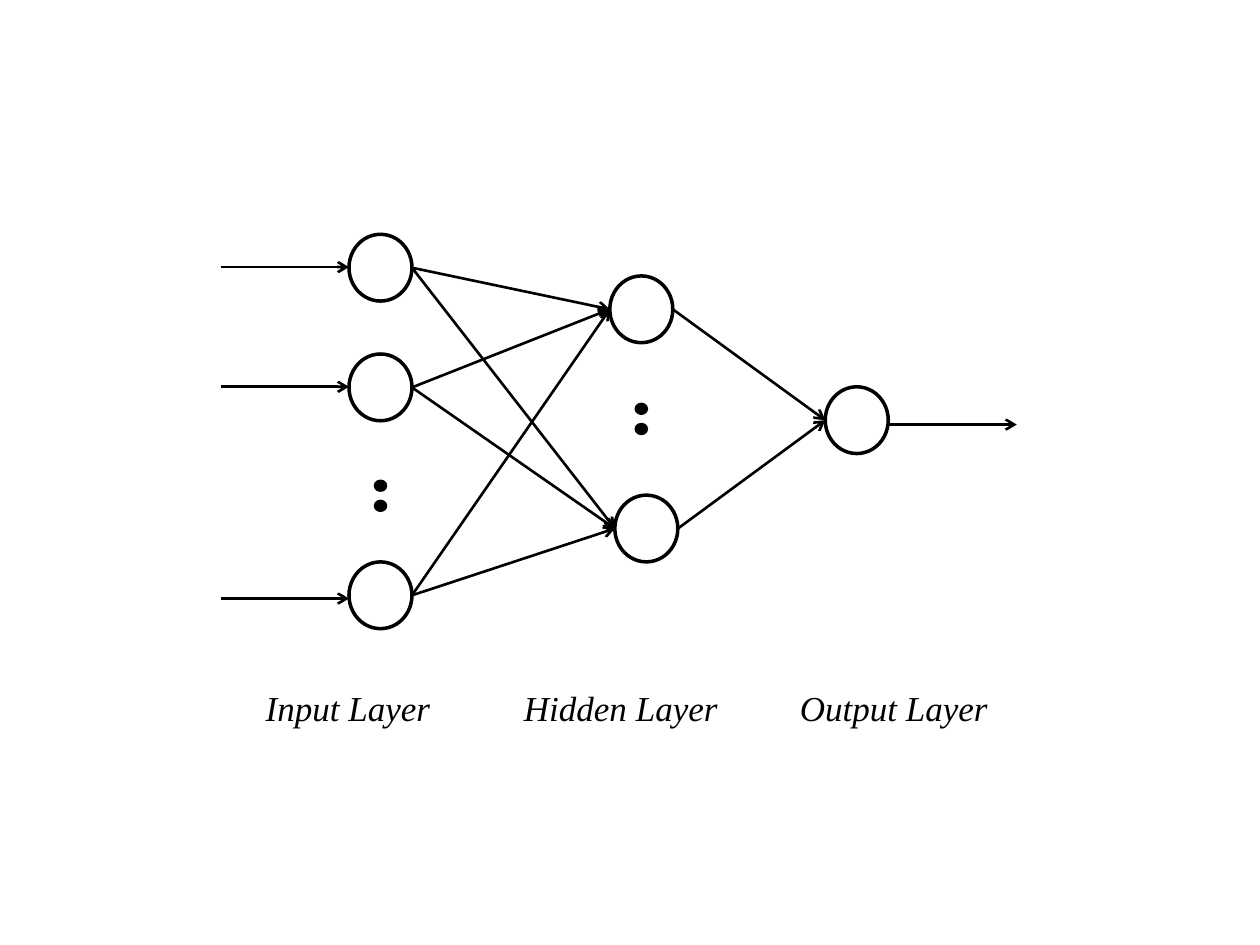
from dataclasses import dataclass
from itertools import product

from lxml import etree
from pptx import Presentation
from pptx import util as u
from pptx.dml.color import RGBColor
from pptx.enum import shapes, text
from pptx.oxml.ns import qn

BLACK, WHITE = "000000", "FFFFFF"
NEURON_WIDTH, NEURON_HEIGHT = 0.5, 0.53
DOT_WIDTH, DOT_HEIGHT = 0.08, 0.07


@dataclass(frozen=True)
class Neuron:
    left: float
    top: float

    @property
    def right(self) -> float:
        return self.left + NEURON_WIDTH

    @property
    def middle(self) -> float:
        return self.top + NEURON_HEIGHT / 2


@dataclass(frozen=True)
class Label:
    words: str
    left: float
    width: float


def color(value: str) -> RGBColor:
    return RGBColor.from_string(value)


def add_ellipse(slide, left: float, top: float, width: float, height: float, fill: str) -> None:
    shape = slide.shapes.add_shape(
        shapes.MSO_SHAPE.OVAL,
        u.Inches(left), u.Inches(top), u.Inches(width), u.Inches(height))
    shape.shadow.inherit = False
    shape.fill.solid()
    shape.fill.fore_color.rgb = color(fill)
    shape.line.color.rgb = color(BLACK)
    shape.line.width = u.Pt(2)


def add_arrow(slide, x1: float, y1: float, x2: float, y2: float) -> None:
    connector = slide.shapes.add_connector(
        shapes.MSO_CONNECTOR.STRAIGHT,
        u.Inches(x1), u.Inches(y1), u.Inches(x2), u.Inches(y2))
    connector.line.color.rgb = color(BLACK)
    connector.line.width = u.Pt(1.5)
    etree.SubElement(connector.line._get_or_add_ln(), qn("a:tailEnd"), type="arrow")
    etree.SubElement(connector._element.spPr, qn("a:effectLst"))


def add_label(slide, label: Label) -> None:
    box = slide.shapes.add_textbox(
        u.Inches(label.left), u.Inches(5.4), u.Inches(label.width), u.Inches(0.44))
    box.text_frame.word_wrap = True
    box.text_frame.auto_size = text.MSO_AUTO_SIZE.SHAPE_TO_FIT_TEXT
    run = box.text_frame.paragraphs[0].add_run()
    run.text = label.words
    run.font.name = "Times New Roman"
    run.font.size = u.Pt(20)
    run.font.italic = True
    run.font.color.rgb = color(BLACK)


INPUTS = [Neuron(2.77, top) for top in (1.86, 2.81, 4.46)]
HIDDEN = [Neuron(4.84, 2.19), Neuron(4.88, 3.93)]
OUTPUT = Neuron(6.55, 3.07)
DOTS = [(2.98, 3.82), (2.98, 3.98), (5.05, 3.21), (5.05, 3.37)]
INPUT_ARROW_HEIGHTS = [2.12, 3.07, 4.75]
LABELS = [
    Label("Input Layer", 2.01, 1.73),
    Label("Hidden Layer", 4.06, 1.96),
    Label("Output Layer", 6.25, 2.53),
]


def main() -> None:
    presentation = Presentation()
    presentation.slide_width = u.Inches(10)
    presentation.slide_height = u.Inches(7.5)
    slide = presentation.slides.add_slide(presentation.slide_layouts[6])

    # Neurons and the dots that stand for further ones
    for neuron in [*INPUTS, *HIDDEN, OUTPUT]:
        add_ellipse(slide, neuron.left, neuron.top, NEURON_WIDTH, NEURON_HEIGHT, WHITE)
    for left, top in DOTS:
        add_ellipse(slide, left, top, DOT_WIDTH, DOT_HEIGHT, BLACK)

    # Arrows into and out of the network
    for height in INPUT_ARROW_HEIGHTS:
        add_arrow(slide, 1.75, height, INPUTS[0].left, height)
    add_arrow(slide, OUTPUT.right, 3.37, 8.07, 3.37)

    # Full connections between neighbouring layers
    for start, end in [*product(INPUTS, HIDDEN), *product(HIDDEN, [OUTPUT])]:
        add_arrow(slide, start.right, start.middle, end.left, end.middle)

    # Layer names
    for label in LABELS:
        add_label(slide, label)

    presentation.save("out.pptx")


if __name__ == "__main__":
    main()
